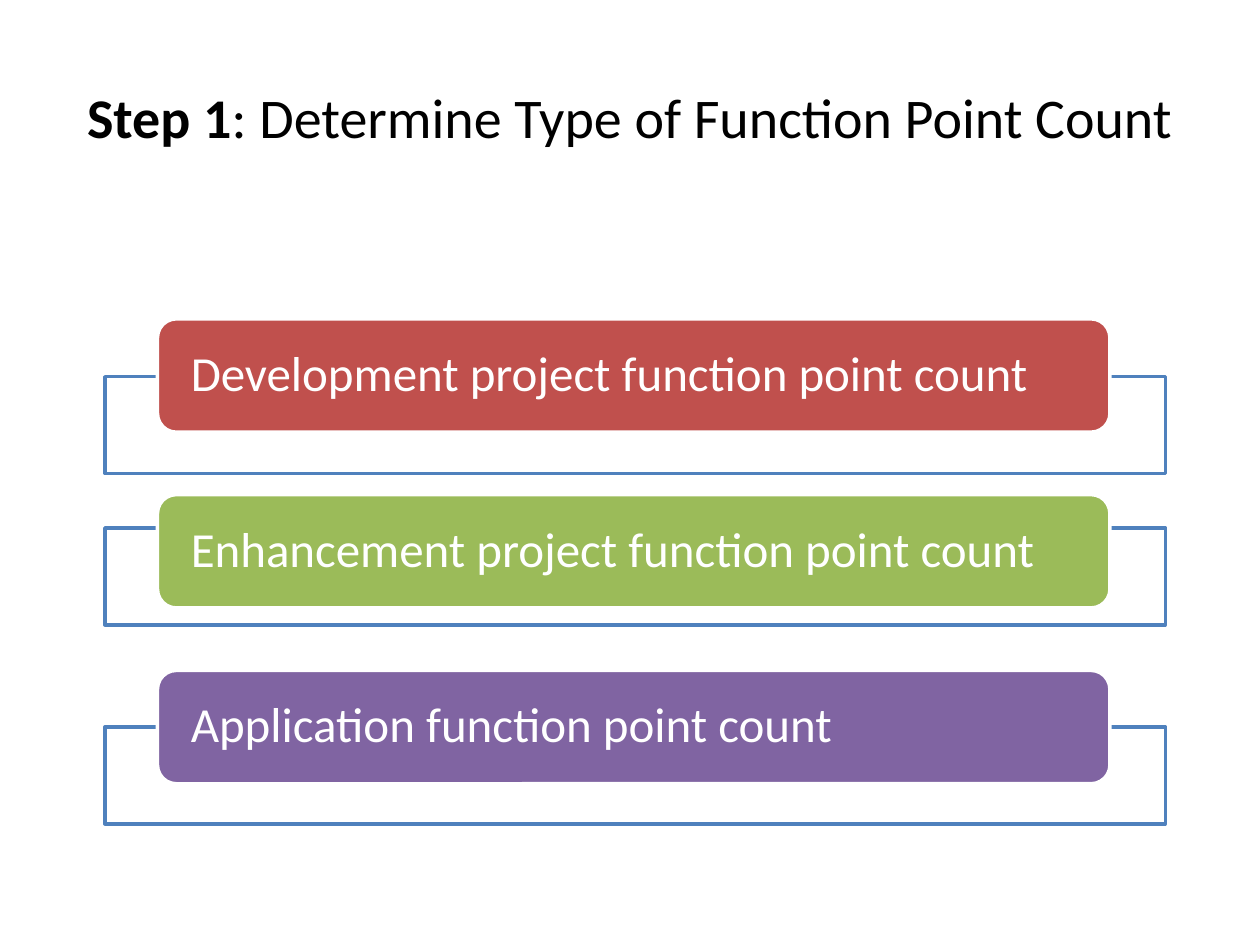
from pptx import Presentation
from pptx.dml.color import RGBColor
from pptx.enum.shapes import MSO_SHAPE
from pptx.enum.text import MSO_ANCHOR, PP_ALIGN
from pptx.util import Pt

RECT, ROUND = MSO_SHAPE.RECTANGLE, MSO_SHAPE.ROUNDED_RECTANGLE
MIDDLE = MSO_ANCHOR.MIDDLE
LEFT, CENTER = PP_ALIGN.LEFT, PP_ALIGN.CENTER

BLACK = RGBColor(0, 0, 0)
WHITE = RGBColor(255, 255, 255)
BLUE = RGBColor(0x4F, 0x81, 0xBD)
RED = RGBColor(0xC0, 0x50, 0x4D)
GREEN = RGBColor(0x9B, 0xBB, 0x59)
PURPLE = RGBColor(0x80, 0x64, 0xA2)

FONT = "Calibri"
TITLE = [("Step 1", True), (": Determine Type of Function Point Count", False)]
COUNTS = [
    ("Development project function point count", RED, 215.3),
    ("Enhancement project function point count", GREEN, 301.7),
    ("Application function point count", PURPLE, 415.4),
]
BAR_TOP, BAR_STEP = 182.2, 100.45


def set_font(para, size, color):
    para.font.name = FONT
    para.font.size = Pt(size)
    para.font.color.rgb = color


def add_box(slide, kind, left, top, width, height, fill, line):
    box = slide.shapes.add_shape(kind, Pt(left), Pt(top), Pt(width), Pt(height))
    box.shadow.inherit = False
    box.fill.solid()
    box.fill.fore_color.rgb = fill
    box.line.color.rgb = line
    box.line.width = Pt(2)
    return box


def add_title(slide):
    frame = slide.shapes.add_textbox(Pt(36), Pt(21.6), Pt(648), Pt(90)).text_frame
    frame.word_wrap = True
    frame.vertical_anchor = MIDDLE
    para = frame.paragraphs[0]
    para.alignment = CENTER
    for text, bold in TITLE:
        run = para.add_run()
        run.text = text
        run.font.bold = bold
    set_font(para, 32, BLACK)


def add_bar(slide, top, text, color):
    frame = add_box(slide, ROUND, 90, top, 544.3, 64.8, color, WHITE).text_frame
    frame.word_wrap = True
    frame.vertical_anchor = MIDDLE
    frame.margin_left = frame.margin_right = Pt(15.9)
    frame.margin_top = frame.margin_bottom = 0
    para = frame.paragraphs[0]
    para.text = text
    para.alignment = LEFT
    para.line_spacing = 0.9
    set_font(para, 28, WHITE)


def main():
    deck = Presentation()
    deck.slide_width, deck.slide_height = Pt(720), Pt(540)
    slide = deck.slides.add_slide(deck.slide_layouts[6])
    add_title(slide)
    for i, (text, color, top) in enumerate(COUNTS):
        add_box(slide, RECT, 60, top, 606, 55.4, WHITE, BLUE)
        add_bar(slide, BAR_TOP + i * BAR_STEP, text, color)
    deck.save("out.pptx")


if __name__ == "__main__":
    main()
